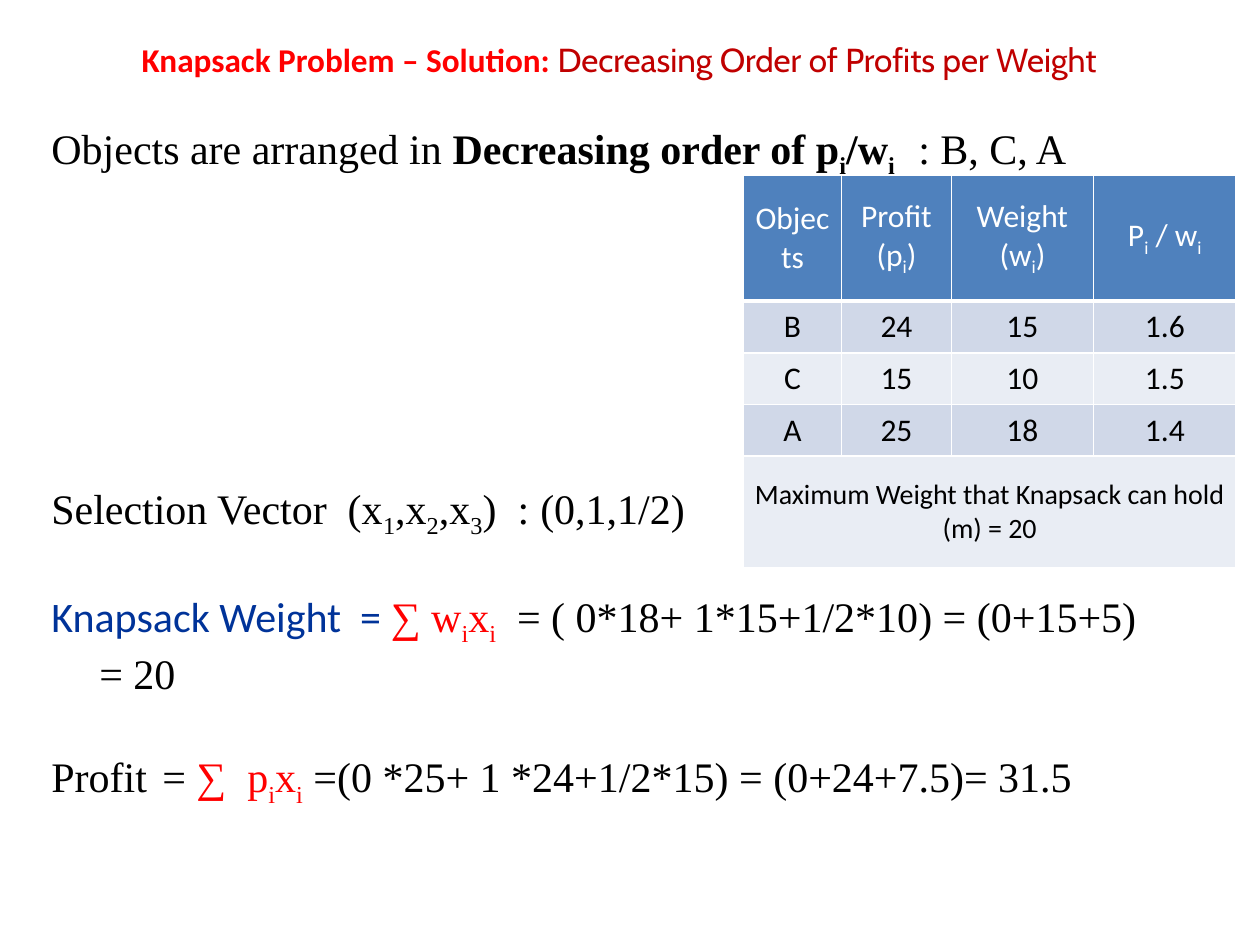
from lxml.etree import SubElement
from pptx import Presentation
from pptx.dml.color import RGBColor
from pptx.enum.text import MSO_ANCHOR, MSO_AUTO_SIZE, PP_ALIGN
from pptx.oxml.ns import qn
from pptx.util import Inches, Pt

COLORS = {
    "black": "000000", "white": "FFFFFF", "red": "FF0000", "dark_red": "C00000",
    "blue": "003399", "header": "4F81BD", "band": "D0D8E8", "light_band": "E9EDF4",
}
SERIF = "Times New Roman"
SANS = "Calibri"
INDENT = 0.38


def color(name):
    """Return the named palette color."""
    return RGBColor.from_string(COLORS[name])


def add_runs(paragraph, text, size, font=SANS, color_name="black", bold=False):
    """Add text in which the character after an underscore is a subscript."""
    first, *rest = text.split("_")
    pieces = [(first, False)]
    for part in rest:
        pieces += [(part[0], True), (part[1:], False)]
    for piece, subscript in pieces:
        if not piece:
            continue
        run = paragraph.add_run()
        run.text = piece
        run.font.size = Pt(size)
        run.font.name = font
        run.font.bold = bold
        run.font.color.rgb = color(color_name)
        if subscript:
            run._r.get_or_add_rPr().set("baseline", "-25000")


def set_hanging_indent(paragraph, tab=None):
    """Give a paragraph a hanging indent and, if wanted, one tab stop."""
    properties = paragraph._p.get_or_add_pPr()
    properties.set("marL", str(Inches(INDENT)))
    properties.set("indent", str(-Inches(INDENT)))
    if tab:
        tabs = SubElement(properties, qn("a:tabLst"))
        SubElement(tabs, qn("a:tab"), pos=str(Inches(tab)), algn="l")


def place_title(slide, left, top, width, height):
    """Place the two-colored title in its placeholder."""
    title = slide.shapes.title
    title.left, title.top = Inches(left), Inches(top)
    title.width, title.height = Inches(width), Inches(height)
    frame = title.text_frame
    frame.auto_size = MSO_AUTO_SIZE.NONE
    frame.vertical_anchor = MSO_ANCHOR.TOP
    frame.margin_top = frame.margin_bottom = 0
    paragraph = frame.paragraphs[0]
    paragraph.alignment = PP_ALIGN.CENTER
    paragraph.line_spacing = 0.7
    add_runs(paragraph, "Knapsack Problem – Solution: ", 19, SANS, "red", True)
    add_runs(paragraph, "Decreasing Order of Profits per Weight", 19, "Cabin", "dark_red")


def add_solution(slide, left, top, width, height):
    """Add the solution steps: order, selection vector, weight and profit."""
    steps = [
        (0, 7.17, [("Objects are arranged in ", SERIF, "black"),
                   ("Decreasing order of p_i/w_i", SERIF, "black", True),
                   ("\t: B, C, A", SERIF, "black")]),
        (173, 4.21, [("Selection Vector  (x_1,x_2,x_3)  :\t(0,1,1/2)", SERIF, "black")]),
        (29, None, [("Knapsack Weight  = ", SANS, "blue"),
                    ("∑ w_ix_i  ", SERIF, "red"),
                    ("= ( 0*18+ 1*15+1/2*10) = (0+15+5) = 20", SERIF, "black")]),
        (30, 2.42, [("Profit\t= ", SERIF, "black"),
                    ("∑  p_ix_i ", SERIF, "red"),
                    ("=(0 *25+ 1 *24+1/2*15) = (0+24+7.5)= 31.5", SERIF, "black")]),
    ]
    box = slide.shapes.add_textbox(Inches(left), Inches(top), Inches(width), Inches(height))
    frame = box.text_frame
    frame.word_wrap = True
    for index, (space, tab, runs) in enumerate(steps):
        paragraph = frame.add_paragraph() if index else frame.paragraphs[0]
        paragraph.space_before = Pt(space)
        set_hanging_indent(paragraph, tab)
        for text, *style in runs:
            add_runs(paragraph, text, 24, *style)


def format_cell(cell, text, size, fill, text_color, bottom=1):
    """Fill a cell, write its centered text and draw its white borders."""
    cell.vertical_anchor = MSO_ANCHOR.MIDDLE
    cell.margin_left = cell.margin_right = Inches(0.07)
    cell.margin_top = cell.margin_bottom = Inches(0.05)
    paragraph = cell.text_frame.paragraphs[0]
    paragraph.alignment = PP_ALIGN.CENTER
    add_runs(paragraph, text, size, SANS, text_color)
    properties = cell._tc.get_or_add_tcPr()
    for side, points in (("L", 1), ("R", 1), ("T", 1), ("B", bottom)):
        line = SubElement(properties, qn(f"a:ln{side}"), w=str(Pt(points)))
        solid = SubElement(line, qn("a:solidFill"))
        SubElement(solid, qn("a:srgbClr"), val=COLORS["white"])
    cell.fill.solid()
    cell.fill.fore_color.rgb = color(fill)


def add_objects_table(slide, left, top, width, height):
    """Add the table of objects sorted by profit per weight."""
    rows = [
        ["Objects", "Profit (p_i)", "Weight (w_i)", "P_i / w_i"],
        ["B", "24", "15", "1.6"],
        ["C", "15", "10", "1.5"],
        ["A", "25", "18", "1.4"],
        ["Maximum Weight that Knapsack can hold (m) = 20", "", "", ""],
    ]
    last = len(rows) - 1
    table = slide.shapes.add_table(
        len(rows), 4, Inches(left), Inches(top), Inches(width), Inches(height)).table
    for column, column_width in zip(table.columns, (0.78, 0.87, 1.13, 1.13)):
        column.width = Inches(column_width)
    for row, row_height in zip(table.rows, (1, 0.41, 0.41, 0.41, 0.89)):
        row.height = Inches(row_height)
    table.cell(last, 0).merge(table.cell(last, 3))
    for index, texts in enumerate(rows):
        size = 16 if index == last else 18
        fill = "band" if index % 2 else "light_band"
        style = (fill, "black") if index else ("header", "white", 3)
        for column, text in enumerate(texts):
            format_cell(table.cell(index, column), text, size, *style)


def main():
    """Build and save the knapsack slide."""
    presentation = Presentation()
    presentation.slide_width, presentation.slide_height = Inches(10), Inches(7.5)
    slide = presentation.slides.add_slide(presentation.slide_layouts[5])
    add_solution(slide, 0.31, 0.92, 8.93, 6.39)
    place_title(slide, 0.45, 0.4, 8.93, 0.4)
    add_objects_table(slide, 5.9, 1.39, 3.91, 3.12)
    presentation.save("out.pptx")


if __name__ == "__main__":
    main()
